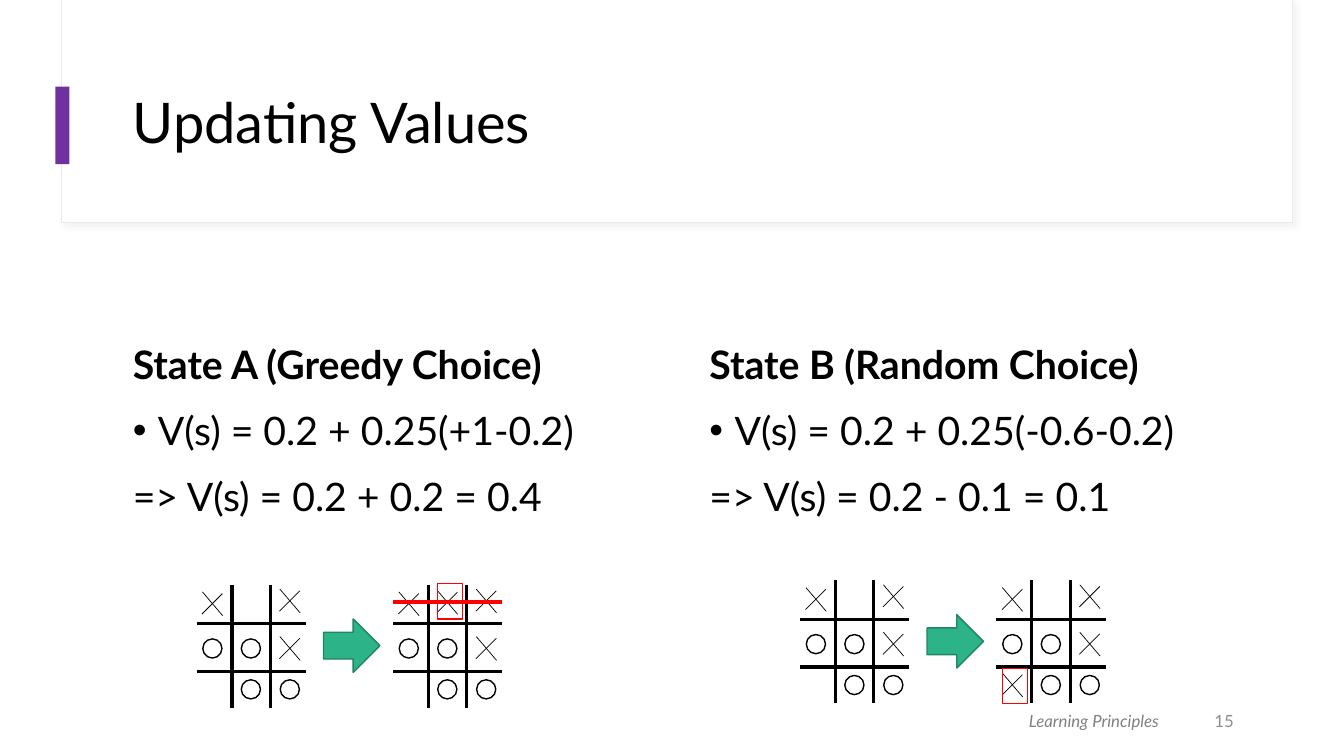
from dataclasses import dataclass

from lxml import etree
from pptx import Presentation
from pptx import util as u
from pptx.dml.color import RGBColor
from pptx.enum import shapes, text
from pptx.oxml import ns


@dataclass(frozen=True)
class Theme:
    font: str = "Lato"
    ink: str = "000000"
    paper: str = "FFFFFF"
    panel_edge: str = "F0E5EA"
    shadow: str = "D9D9D9"
    accent: str = "7030A0"
    arrow: str = "2CB387"
    arrow_edge: str = "218464"
    highlight: str = "FF0000"
    number: str = "8C8C8C"
    footer: str = "808080"
    title_size: float = 40
    body_size: float = 28
    small_size: float = 12


# Tic-tac-toe geometry, relative to a board's top left corner
BOARD_WIDTH, BOARD_HEIGHT = 78, 88
COLUMN_RULES, ROW_RULES = (25.3, 52.6), (27.9, 61.9)
COLUMN_CENTRES, ROW_CENTRES = (11.3, 38.8, 66.6), (13.7, 45.6, 74.8)
TOP_ROW_RISE = 1
BOARD_STEP = 140.3
CIRCLE = 13.7
CROSS_STROKES = ((-7.4, 7.3, 7.2, -7.3), (7.4, 8.5, -7.1, -8.5))


class Slide:
    def __init__(self, page, theme):
        self.page, self.theme = page, theme

    def shape(self, kind, left, top, width, height, fill=None, line=None, weight=1):
        shape = self.page.shapes.add_shape(
            kind, u.Pt(left), u.Pt(top), u.Pt(width), u.Pt(height))
        shape.shadow.inherit = False
        if fill:
            shape.fill.solid()
            shape.fill.fore_color.rgb = RGBColor.from_string(fill)
        else:
            shape.fill.background()
        if line:
            shape.line.color.rgb = RGBColor.from_string(line)
            shape.line.width = u.Pt(weight)
        else:
            shape.line.fill.background()
        return shape

    def rectangle(self, *place, **style):
        return self.shape(shapes.MSO_SHAPE.RECTANGLE, *place, **style)

    def soft_shadow(self, shape):
        effects = shape._element.spPr.find(ns.qn("a:effectLst"))
        shadow = etree.SubElement(
            effects, ns.qn("a:outerShdw"), blurRad=str(u.Pt(4)),
            dist=str(u.Pt(3)), dir=str(45 * 60000), algn="tl", rotWithShape="0")
        tint = etree.SubElement(shadow, ns.qn("a:srgbClr"), val=self.theme.shadow)
        etree.SubElement(tint, ns.qn("a:alpha"), val="30000")

    def lines(self, ends, color, weight):
        """Draw straight lines, grouped when there are several."""
        several = len(ends) > 1
        parent = self.page.shapes.add_group_shape() if several else self.page
        for points in ends:
            line = parent.shapes.add_connector(
                shapes.MSO_CONNECTOR.STRAIGHT, *(u.Pt(point) for point in points))
            line.line.color.rgb = RGBColor.from_string(color)
            line.line.width = u.Pt(weight)
            etree.SubElement(line._element.spPr, ns.qn("a:effectLst"))

    def text(self, place, rows, size, color, anchor=text.MSO_ANCHOR.TOP,
             align=text.PP_ALIGN.LEFT, spacing=1.0, italic=False, wrap=True):
        box = self.page.shapes.add_textbox(*(u.Pt(length) for length in place))
        frame = box.text_frame
        frame.text = "\n".join(rows)
        frame.word_wrap = wrap
        frame.vertical_anchor = anchor
        for para in frame.paragraphs:
            para.alignment = align
            para.line_spacing = spacing
            for span in para.runs:
                span.font.name = self.theme.font
                span.font.size = u.Pt(size)
                span.font.italic = italic
                span.font.color.rgb = RGBColor.from_string(color)
        return frame

    def bullet(self, para):
        properties = para._p.get_or_add_pPr()
        properties.set("marL", str(u.Pt(18)))
        properties.set("indent", str(u.Pt(-18)))
        etree.SubElement(properties, ns.qn("a:buFont"), typeface="Arial")
        etree.SubElement(properties, ns.qn("a:buChar"), char="•")

    def state(self, left, heading, update, result):
        frame = self.text((left, 236.2, 388.8, 290.9), (heading, update, result),
                          self.theme.body_size, self.theme.ink, spacing=1.1)
        first, *others = frame.paragraphs
        first.runs[0].font.bold = True
        for para in others:
            para.space_before = u.Pt(10)
        self.bullet(others[0])

    def cross(self, x, y):
        self.lines([(x + x1, y + y1, x + x2, y + y2)
                    for x1, y1, x2, y2 in CROSS_STROKES], self.theme.ink, 0.5)

    def circle(self, x, y):
        self.shape(shapes.MSO_SHAPE.OVAL, x - CIRCLE / 2, y - CIRCLE / 2,
                   CIRCLE, CIRCLE, line=self.theme.ink)

    def board(self, left, top, rows):
        right, bottom = left + BOARD_WIDTH, top + BOARD_HEIGHT
        rules = [(left + x, top, left + x, bottom) for x in COLUMN_RULES]
        rules += [(left, top + y, right, top + y) for y in ROW_RULES]
        self.lines(rules, self.theme.ink, 2.25)
        for row, marks in enumerate(rows):
            for column, mark in enumerate(marks):
                rise = TOP_ROW_RISE * column if row == 0 else 0
                centre = (left + COLUMN_CENTRES[column], top + ROW_CENTRES[row] - rise)
                if mark == "X":
                    self.cross(*centre)
                elif mark == "O":
                    self.circle(*centre)

    def move(self, left, top, before, after, chosen):
        """Draw two boards with an arrow between, and frame the chosen cell."""
        self.board(left, top, before)
        self.shape(shapes.MSO_SHAPE.RIGHT_ARROW, left + 90.7, top + 24.5, 40.3, 38.2,
                   fill=self.theme.arrow, line=self.theme.arrow_edge)
        self.board(left + BOARD_STEP, top, after)
        x, y = chosen
        self.rectangle(left + BOARD_STEP + x, top + y, 18, 25.2,
                       line=self.theme.highlight)


def main():
    theme = Theme()
    deck = Presentation()
    deck.slide_width, deck.slide_height = u.Pt(960), u.Pt(540)
    slide = Slide(deck.slides.add_slide(deck.slide_layouts[6]), theme)

    panel = slide.rectangle(43.9, 0, 879.1, 159.1, fill=theme.paper,
                            line=theme.panel_edge, weight=0.75)
    slide.soft_shadow(panel)
    slide.rectangle(44.6, 0, 878.4, 158.4, fill=theme.paper)
    slide.rectangle(39.6, 61.9, 10.1, 55.4, fill=theme.accent)
    slide.text((87.8, 43.2, 800.6, 92.9), ["Updating Values"], theme.title_size,
               theme.ink, anchor=text.MSO_ANCHOR.MIDDLE, spacing=0.9)

    slide.state(87.8, "State A (Greedy Choice)", "V(s) = 0.2 + 0.25(+1-0.2)",
                "=> V(s) = 0.2 + 0.2 = 0.4")
    slide.state(499.7, "State B (Random Choice)", "V(s) = 0.2 + 0.25(-0.6-0.2)",
                "=> V(s) = 0.2 - 0.1 = 0.1")

    start = ("X X", "OOX", " OO")
    greedy_left, greedy_top = 140.4, 417.6
    slide.move(greedy_left, greedy_top, start, ("XXX", "OOX", " OO"), (31.7, -0.7))
    strike_left, strike_y = greedy_left + BOARD_STEP, greedy_top + 12.2
    slide.lines([(strike_left, strike_y, strike_left + BOARD_WIDTH, strike_y)],
                theme.highlight, 3)
    slide.move(571.5, 414.5, start, ("X X", "OOX", "XOO"), (4.3, 62.9))

    slide.text((672.5, 500.4, 216, 28.8), ["15"], theme.small_size, theme.number,
               anchor=text.MSO_ANCHOR.MIDDLE, align=text.PP_ALIGN.RIGHT)
    footer = slide.text((727.9, 504, 119.5, 21.6), ["Learning Principles"],
                        theme.small_size, theme.footer, italic=True, wrap=False)
    footer.auto_size = text.MSO_AUTO_SIZE.SHAPE_TO_FIT_TEXT
    deck.save("out.pptx")


if __name__ == "__main__":
    main()
